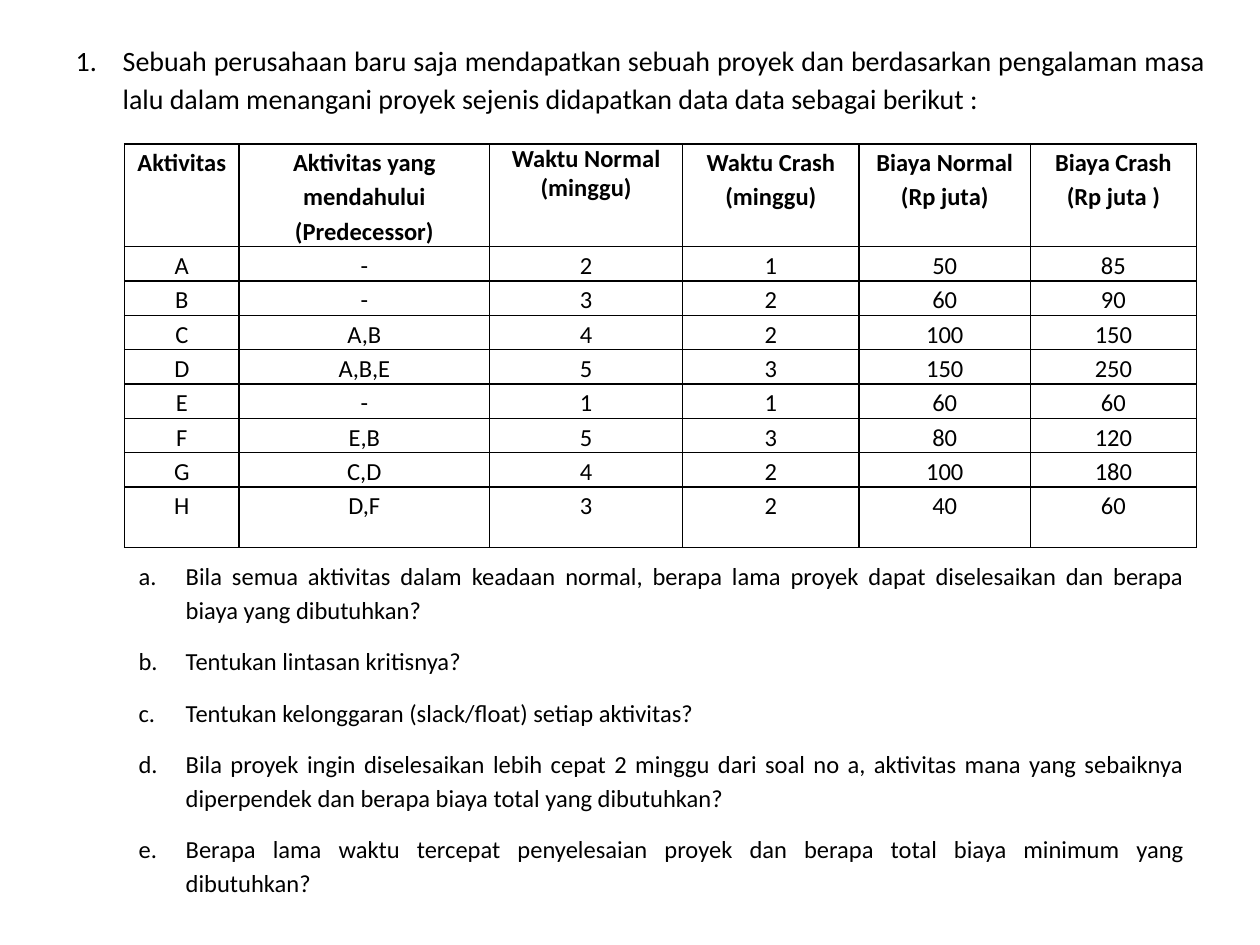
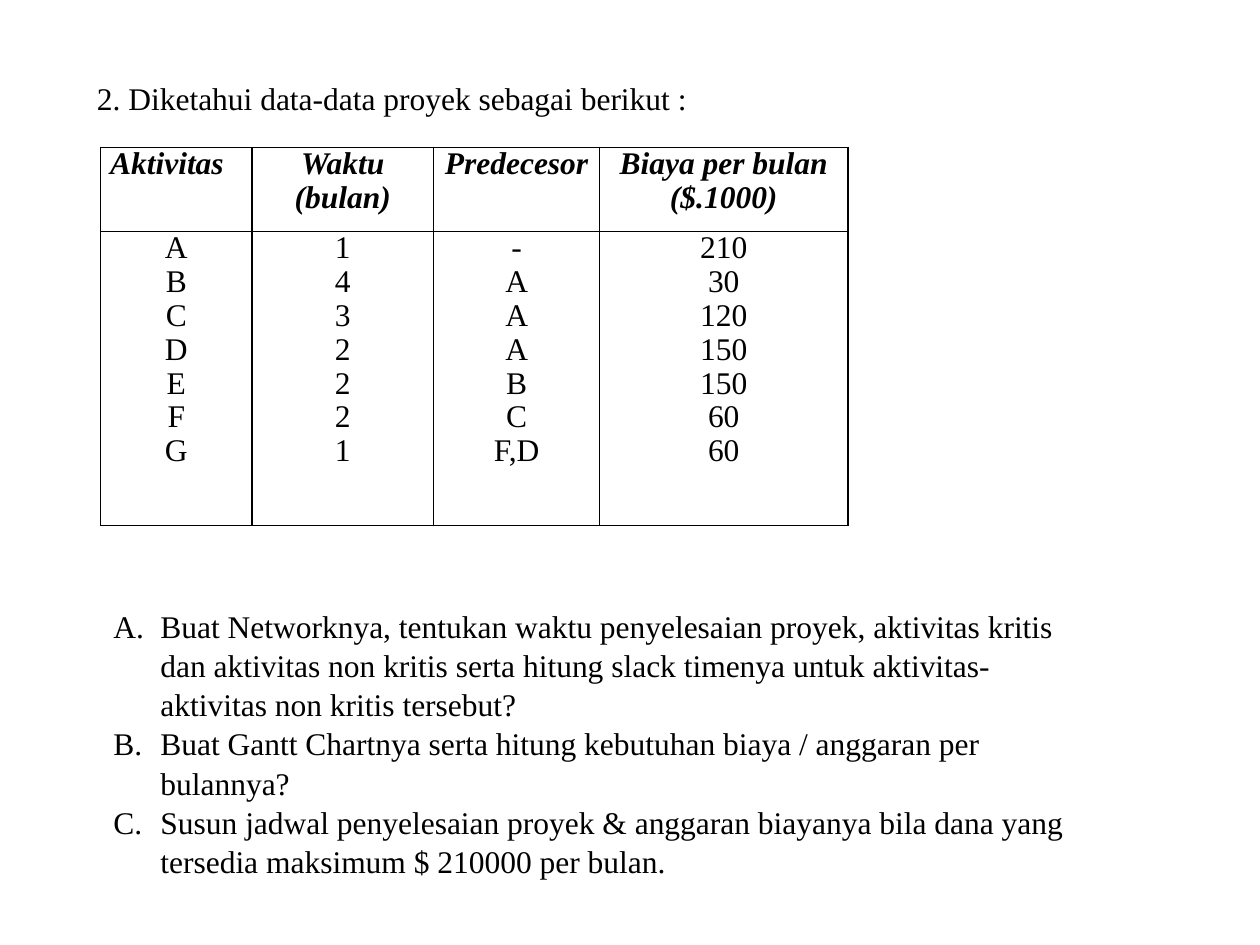
"""Build two project-scheduling exercise slides, each with a heading, a data table and questions."""
from dataclasses import dataclass
from typing import Optional

import pptx
import pptx.dml.color
import pptx.enum.text
import pptx.oxml.ns
import pptx.presentation
import pptx.shapes.placeholder
import pptx.slide
import pptx.table
import pptx.text.text
import pptx.util
from lxml import etree

Cm = pptx.util.Cm
Alignment = pptx.enum.text.PP_ALIGN
qn = pptx.oxml.ns.qn


@dataclass(frozen=True)
class Theme:
    """Colours and measures that every slide shares."""

    ink: pptx.dml.color.RGBColor = pptx.dml.color.RGBColor(0, 0, 0)
    sans: str = "Calibri"
    serif: str = "Times New Roman"
    heading_size: int = 16
    body_size: int = 14
    large_size: int = 18
    border_width: int = 1
    paragraph_gap: int = 10
    hanging_indent: float = 0.95
    cell_margin: float = 0.19


THEME = Theme()


@dataclass(frozen=True)
class TextStyle:
    """Look of a paragraph and its run."""

    font: str
    size: int
    alignment: Alignment
    line_spacing: float = 1.0
    gap: int = 0
    numbering: Optional[str] = None
    bold: bool = False
    italic: bool = False


@dataclass(frozen=True)
class Box:
    """Place of an object in centimetres."""

    left: float
    top: float
    width: float
    height: float


@dataclass(frozen=True)
class Column:
    """Heading, width in centimetres and heading layout of a table column."""

    heading: str
    width: float
    alignment: Alignment = Alignment.CENTER
    line_spacing: Optional[float] = None


@dataclass(frozen=True)
class DataTable:
    """A bordered table with its place, columns, rows and styles."""

    left: float
    top: float
    columns: list[Column]
    row_heights: list[float]
    rows: list[list[str]]
    cell_spacing: float
    font: str
    size: int
    heading_italic: bool = False


@dataclass(frozen=True)
class Exercise:
    """Everything shown on one slide."""

    heading: str
    heading_box: Box
    heading_style: TextStyle
    table: DataTable
    questions: list[str]
    question_box: Box
    question_style: TextStyle


def write_paragraphs(frame: pptx.text.text.TextFrame, lines: list[str], style: TextStyle) -> None:
    """Write one styled paragraph for each line."""
    for index, line in enumerate(lines):
        paragraph = frame.paragraphs[0] if index == 0 else frame.add_paragraph()
        paragraph.alignment = style.alignment
        paragraph.line_spacing = style.line_spacing
        paragraph.space_before = pptx.util.Pt(0)
        paragraph.space_after = pptx.util.Pt(style.gap)
        if style.numbering:
            properties = paragraph._p.get_or_add_pPr()
            indent = Cm(THEME.hanging_indent)
            properties.set("marL", str(indent))
            properties.set("indent", str(-indent))
            etree.SubElement(properties, qn("a:buFontTx"))
            etree.SubElement(properties, qn("a:buAutoNum"), type=style.numbering)
        run = paragraph.add_run()
        run.text = line
        run.font.name = style.font
        run.font.size = pptx.util.Pt(style.size)
        run.font.bold = style.bold
        run.font.italic = style.italic
        run.font.color.rgb = THEME.ink


def fill_placeholder(
    shape: pptx.shapes.placeholder.SlidePlaceholder, box: Box, lines: list[str], style: TextStyle
) -> None:
    """Move a placeholder and fill it with text."""
    shape.left, shape.top = Cm(box.left), Cm(box.top)
    shape.width, shape.height = Cm(box.width), Cm(box.height)
    frame = shape.text_frame
    frame.word_wrap = True
    frame.auto_size = pptx.enum.text.MSO_AUTO_SIZE.NONE
    frame.vertical_anchor = pptx.enum.text.MSO_ANCHOR.TOP
    write_paragraphs(frame, lines, style)


def draw_borders(cell: pptx.table._Cell) -> None:
    """Outline the four sides of a cell."""
    properties = cell._tc.get_or_add_tcPr()
    for index, side in enumerate(("lnL", "lnR", "lnT", "lnB")):
        line = etree.Element(qn(f"a:{side}"), w=str(pptx.util.Pt(THEME.border_width)))
        fill = etree.SubElement(line, qn("a:solidFill"))
        etree.SubElement(fill, qn("a:srgbClr"), val=str(THEME.ink))
        properties.insert(index, line)


def add_data_table(slide: pptx.slide.Slide, data: DataTable) -> None:
    """Add a bordered table without banding."""
    width = sum(column.width for column in data.columns)
    shape = slide.shapes.add_table(
        len(data.row_heights), len(data.columns),
        Cm(data.left), Cm(data.top), Cm(width), Cm(sum(data.row_heights)),
    )
    table = shape.table
    table.first_row = table.horz_banding = False
    for table_row, height in zip(table.rows, data.row_heights):
        table_row.height = Cm(height)
    for column_index, column in enumerate(data.columns):
        table.columns[column_index].width = Cm(column.width)
        heading_style = TextStyle(
            data.font, data.size, column.alignment, column.line_spacing or data.cell_spacing,
            bold=True, italic=data.heading_italic,
        )
        value_style = TextStyle(data.font, data.size, Alignment.CENTER, data.cell_spacing)
        texts = [column.heading] + [row[column_index] for row in data.rows]
        for row_index, text in enumerate(texts):
            cell = table.cell(row_index, column_index)
            cell.margin_left = cell.margin_right = Cm(THEME.cell_margin)
            cell.margin_top = cell.margin_bottom = Cm(0)
            cell.fill.background()
            draw_borders(cell)
            style = value_style if row_index else heading_style
            write_paragraphs(cell.text_frame, text.split("\n"), style)


def add_exercise(presentation: pptx.presentation.Presentation, exercise: Exercise) -> None:
    """Add a slide with its heading, table and questions."""
    slide = presentation.slides.add_slide(presentation.slide_layouts[1])
    title, body = slide.placeholders
    fill_placeholder(title, exercise.heading_box, [exercise.heading], exercise.heading_style)
    add_data_table(slide, exercise.table)
    fill_placeholder(body, exercise.question_box, exercise.questions, exercise.question_style)


CRASHING = Exercise(
    heading="Sebuah perusahaan baru saja mendapatkan sebuah proyek dan berdasarkan pengalaman "
    "masa lalu dalam menangani proyek sejenis didapatkan data data sebagai berikut :",
    heading_box=Box(1.27, 0.64, 23.29, 1.78),
    heading_style=TextStyle(
        THEME.sans, THEME.heading_size, Alignment.JUSTIFY, 1.15, THEME.paragraph_gap, "arabicPeriod"
    ),
    table=DataTable(
        left=2.51,
        top=2.9,
        columns=[
            Column("Aktivitas", 2.31),
            Column("Aktivitas yang mendahului (Predecessor)", 5.05),
            Column("Waktu Normal (minggu)", 3.89, line_spacing=1.0),
            Column("Waktu Crash (minggu)", 3.56),
            Column("Biaya Normal (Rp juta)", 3.45),
            Column("Biaya Crash (Rp juta )", 3.35),
        ],
        row_heights=[1.93] + [0.61] * 7 + [1.22],
        rows=[
            ["A", "-", "2", "1", "50", "85"],
            ["B", "-", "3", "2", "60", "90"],
            ["C", "A,B", "4", "2", "100", "150"],
            ["D", "A,B,E", "5", "3", "150", "250"],
            ["E", "-", "1", "1", "60", "60"],
            ["F", "E,B", "5", "3", "80", "120"],
            ["G", "C,D", "4", "2", "100", "180"],
            ["H", "D,F", "3", "2", "40", "60"],
        ],
        cell_spacing=1.15,
        font=THEME.sans,
        size=THEME.body_size,
    ),
    questions=[
        "Bila semua aktivitas dalam keadaan normal, berapa lama proyek dapat diselesaikan "
        "dan berapa biaya yang dibutuhkan?",
        "Tentukan lintasan kritisnya?",
        "Tentukan kelonggaran (slack/float) setiap aktivitas?",
        "Bila proyek ingin diselesaikan lebih cepat 2 minggu dari soal no a, aktivitas mana "
        "yang sebaiknya diperpendek dan berapa biaya total yang dibutuhkan?",
        "Berapa lama waktu tercepat penyelesaian proyek dan berapa total biaya minimum "
        "yang dibutuhkan?",
    ],
    question_box=Box(2.54, 11.1, 21.59, 7.14),
    question_style=TextStyle(
        THEME.sans, THEME.body_size, Alignment.JUSTIFY, 1.15, THEME.paragraph_gap, "alphaLcPeriod"
    ),
)

BUDGETING = Exercise(
    heading="2. Diketahui data-data proyek sebagai berikut :",
    heading_box=Box(1.7, 1.47, 12.7, 1.02),
    heading_style=TextStyle(THEME.serif, THEME.large_size, Alignment.LEFT),
    table=DataTable(
        left=2.03,
        top=2.97,
        columns=[
            Column("Aktivitas", 3.05, Alignment.LEFT),
            Column("Waktu (bulan)", 3.66),
            Column("Predecesor", 3.35),
            Column("Biaya per bulan\n($.1000)", 5.0),
        ],
        row_heights=[1.7, 5.92],
        rows=[["\n".join(values) for values in (
            "ABCDEFG",
            "1432221",
            ["-", "A", "A", "A", "B", "C", "F,D"],
            ["210", "30", "120", "150", "150", "60", "60"],
        )]],
        cell_spacing=0.97,
        font=THEME.serif,
        size=THEME.large_size,
        heading_italic=True,
    ),
    questions=[
        "Buat Networknya, tentukan waktu penyelesaian proyek, aktivitas kritis dan aktivitas "
        "non kritis serta hitung slack timenya untuk aktivitas-aktivitas non kritis tersebut?",
        "Buat Gantt Chartnya serta hitung kebutuhan biaya / anggaran per bulannya?",
        "Susun jadwal penyelesaian proyek & anggaran biayanya bila dana yang tersedia "
        "maksimum $ 210000 per bulan.",
    ],
    question_box=Box(2.03, 12.07, 19.96, 5.64),
    question_style=TextStyle(
        THEME.serif, THEME.large_size, Alignment.LEFT, 1.04, numbering="alphaUcPeriod"
    ),
)


def main() -> None:
    """Build and save the presentation."""
    presentation = pptx.Presentation()
    presentation.slide_width, presentation.slide_height = Cm(25.4), Cm(19.05)
    for exercise in (CRASHING, BUDGETING):
        add_exercise(presentation, exercise)
    presentation.save("out.pptx")


if __name__ == "__main__":
    main()
